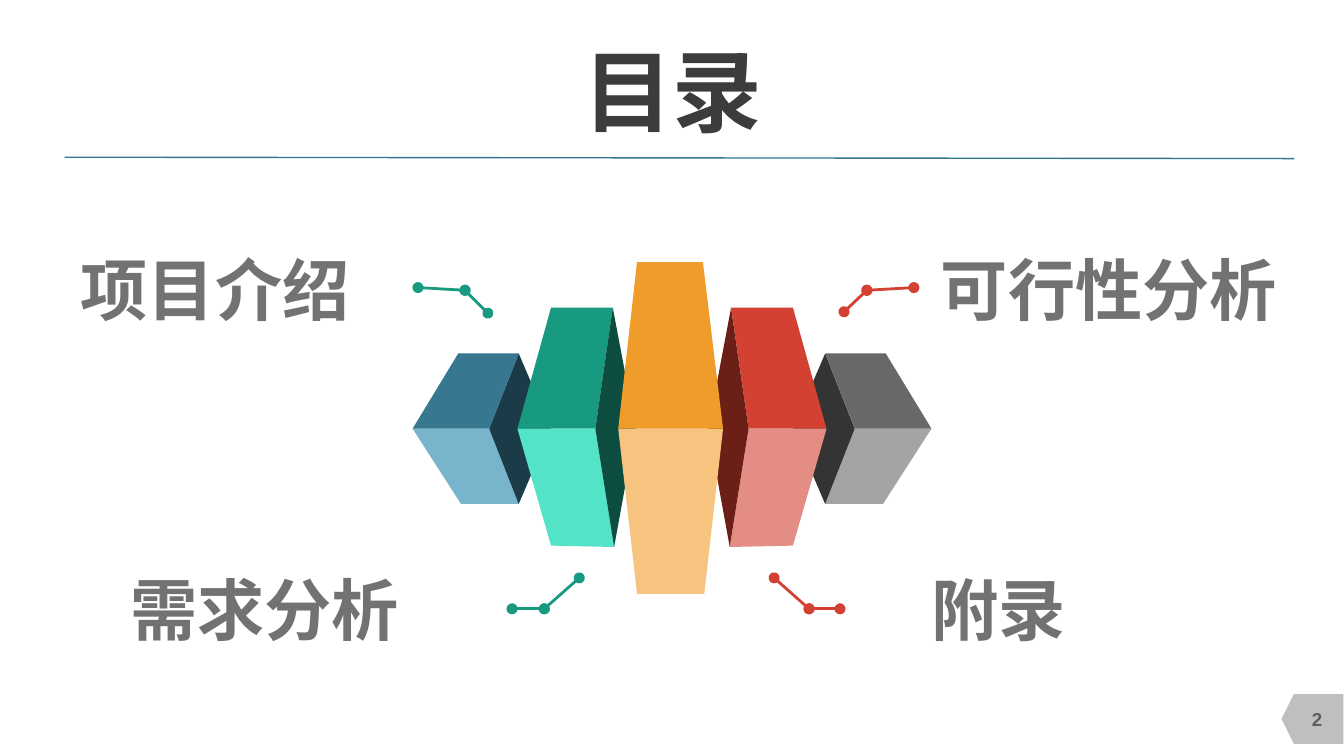
from itertools import pairwise
from typing import NamedTuple

from lxml import etree
from pptx import Presentation
from pptx.dml.color import RGBColor
from pptx.enum.shapes import MSO_CONNECTOR, MSO_SHAPE
from pptx.enum.text import MSO_ANCHOR, PP_ALIGN
from pptx.oxml.ns import qn
from pptx.util import Inches, Pt

STRAIGHT = MSO_CONNECTOR.STRAIGHT
PAGE_TAB = MSO_SHAPE.FLOWCHART_OFFPAGE_CONNECTOR
TOP, MIDDLE = MSO_ANCHOR.TOP, MSO_ANCHOR.MIDDLE
LEFT, CENTER = PP_ALIGN.LEFT, PP_ALIGN.CENTER

FONT = "Arial"
GREEN, RED = "189A80", "D24132"
PAGE_WIDTH = 10
PAGE_HEIGHT = PAGE_WIDTH * 9 / 16

Point = tuple[float, float]


class Face(NamedTuple):
    points: list[Point]
    color: str
    mirror_color: str = ""  # colour of the twin on the right half, if any


class Callout(NamedTuple):
    points: list[Point]
    color: str


class Label(NamedTuple):
    text: str
    left: float
    top: float
    width: float


FACES = [
    # outer blocks
    Face([(3.64, 3.19), (3.07, 3.19), (3.43, 3.75), (3.86, 3.75)], "78B4CB", "A4A4A4"),
    Face([(4.1, 3.19), (3.86, 2.63), (3.64, 3.19), (3.86, 3.75)], "1C3B48", "343434"),
    Face([(3.64, 3.19), (3.86, 2.63), (3.41, 2.63), (3.07, 3.19)], "377790", "686868"),
    # inner blocks
    Face([(4.56, 2.29), (4.1, 2.29), (3.85, 3.19), (4.43, 3.19)], GREEN, RED),
    Face([(4.57, 4.07), (4.43, 3.19), (3.85, 3.19), (4.1, 4.06)], "53E4C7", "E48D84"),
    Face([(4.56, 2.29), (4.43, 3.19), (4.57, 4.07), (4.73, 3.19)], "0C4D40", "6B1F17"),
    # centre block
    Face([(4.6, 3.19), (5.38, 3.19), (5.24, 4.42), (4.74, 4.42)], "F6C47F"),
    Face([(5.38, 3.19), (4.6, 3.19), (4.74, 1.95), (5.23, 1.95)], "F09C2A"),
]

CALLOUTS = [
    Callout([(3.11, 2.14), (3.46, 2.16), (3.63, 2.33)], GREEN),
    Callout([(4.31, 4.3), (4.05, 4.53), (3.81, 4.53)], GREEN),
    Callout([(6.8, 2.14), (6.45, 2.16), (6.28, 2.32)], RED),
    Callout([(5.76, 4.3), (6.02, 4.53), (6.25, 4.53)], RED),
]

LABELS = [
    Label("项目介绍", 0.6, 1.85, 2.18),
    Label("需求分析", 0.97, 4.23, 2.73),
    Label("可行性分析", 7, 1.85, 2.79),
    Label("附录", 6.93, 4.23, 2.49),
]


def rgb(color: str) -> RGBColor:
    return RGBColor.from_string(color)


def place(shape, left: float, top: float, width: float, height: float) -> None:
    shape.left, shape.top = Inches(left), Inches(top)
    shape.width, shape.height = Inches(width), Inches(height)


def paint(shape, color: str) -> None:
    shape.shadow.inherit = False
    shape.fill.solid()
    shape.fill.fore_color.rgb = rgb(color)
    shape.line.fill.background()


def write(box, text: str, *, size: float, color: str, align=LEFT,
          anchor=TOP, wrap: bool = True) -> None:
    """Fill a box with one bold line of text, without insets."""
    frame = box.text_frame
    frame.word_wrap = wrap
    frame.vertical_anchor = anchor
    frame.margin_left = frame.margin_right = 0
    frame.margin_top = frame.margin_bottom = 0
    para = frame.paragraphs[0]
    para.alignment = align
    span = para.add_run()
    span.text = text
    span.font.name = FONT
    span.font.size = Pt(size)
    span.font.bold = True
    span.font.color.rgb = rgb(color)


def add_text(page, text: str, left: float, top: float, width: float,
             height: float, **style) -> None:
    box = page.shapes.add_textbox(0, 0, 0, 0)
    place(box, left, top, width, height)
    write(box, text, **style)


def add_polygon(page, points: list[Point], color: str) -> None:
    corners = [(Inches(x), Inches(y)) for x, y in points]
    builder = page.shapes.build_freeform(*corners[0])
    builder.add_line_segments(corners[1:], close=True)
    paint(builder.convert_to_shape(), color)


def add_face(page, face: Face) -> None:
    """Draw a face and, where it has one, its twin on the right half."""
    add_polygon(page, face.points, face.color)
    if face.mirror_color:
        twin = [(PAGE_WIDTH - x, y) for x, y in face.points]
        add_polygon(page, twin, face.mirror_color)


def add_line(page, start: Point, end: Point, color: str, weight: float,
             dots: bool = False) -> None:
    line = page.shapes.add_connector(
        STRAIGHT, *(Inches(value) for value in (*start, *end)))
    line.line.color.rgb = rgb(color)
    line.line.width = Pt(weight)
    properties = line._element.spPr
    etree.SubElement(properties, qn("a:effectLst"))
    if dots:
        stroke = properties.find(qn("a:ln"))
        for tag in ("a:headEnd", "a:tailEnd"):
            etree.SubElement(stroke, qn(tag), type="oval")


def main() -> None:
    deck = Presentation()
    deck.slide_width, deck.slide_height = Inches(PAGE_WIDTH), Inches(PAGE_HEIGHT)
    page = deck.slides.add_slide(deck.slide_layouts.get_by_name("Title Only"))

    tab = page.shapes.add_shape(PAGE_TAB, 0, 0, 0, 0)
    place(tab, 9.58, 5.12, 0.37, 0.46)
    tab.rotation = 90
    paint(tab, "BFBFBF")
    add_text(page, "2", 9.55, 5.2, 0.5, 0.3, size=10, color="5C5C5C",
             align=CENTER, anchor=MIDDLE)

    title = page.shapes.title
    place(title, 1.92, 0.18, 6.17, 0.98)
    write(title, "目录", size=48, color="3C3C3C", align=CENTER,
          anchor=MIDDLE, wrap=False)
    add_line(page, (0.48, 1.17), (9.63, 1.18), "34758F", 0.75)

    for face in FACES:
        add_face(page, face)
    for callout in CALLOUTS:
        for start, end in pairwise(callout.points):
            add_line(page, start, end, callout.color, 1.5, dots=True)
    for label in LABELS:
        add_text(page, label.text, label.left, label.top, label.width, 0.61,
                 size=36, color="727272")

    deck.save("out.pptx")


if __name__ == "__main__":
    main()
